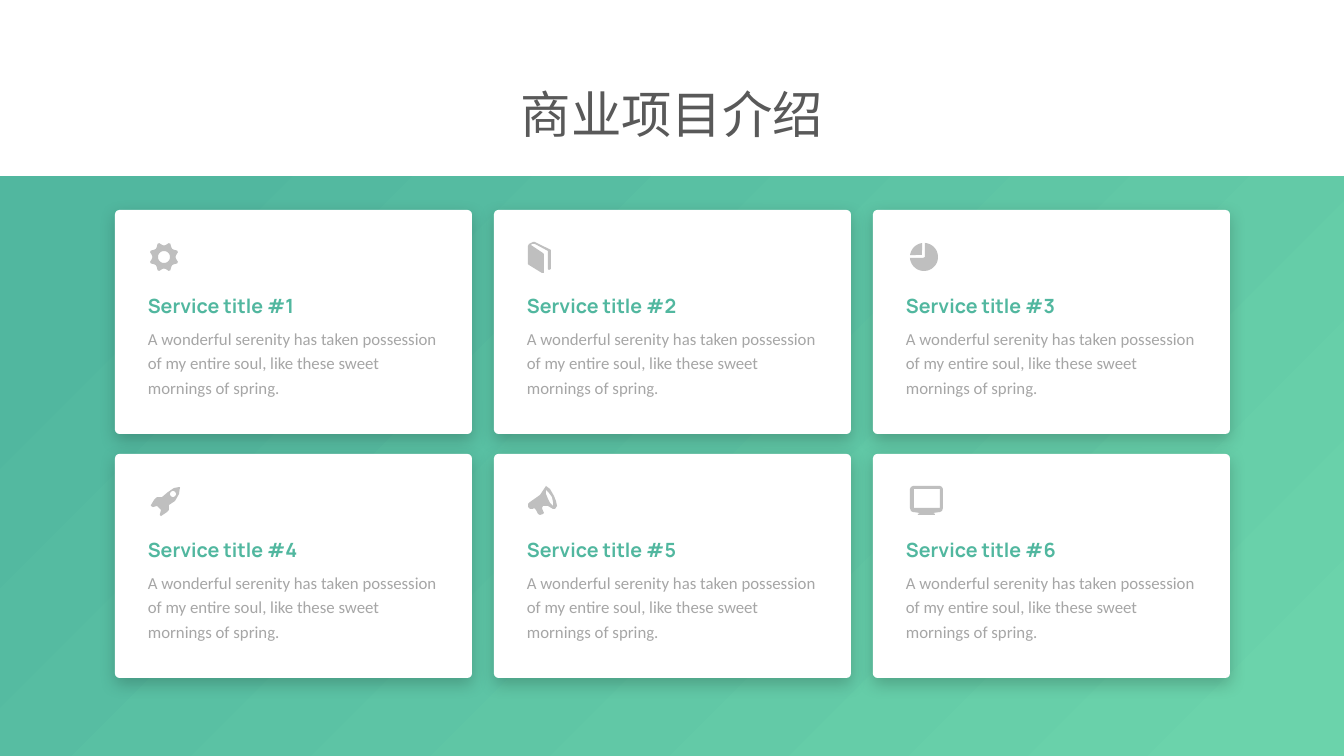
from math import cos, sin, radians

from lxml.etree import SubElement
from pptx import Presentation
from pptx.dml.color import RGBColor
from pptx.enum.shapes import MSO_SHAPE
from pptx.enum.text import PP_ALIGN
from pptx.oxml.ns import qn
from pptx.util import Pt

PX = 914400 / 100.8
WHITE = RGBColor(0xFF, 0xFF, 0xFF)
TEAL = RGBColor(0x51, 0xB7, 0x9F)
MINT = RGBColor(0x6B, 0xD3, 0xAB)
DARK = RGBColor(0x59, 0x59, 0x59)
GREY = RGBColor(0xA6, 0xA6, 0xA6)
SILVER = RGBColor(0xBF, 0xBF, 0xBF)
BODY = ("A wonderful serenity has taken possession of my entire soul, "
        "like these sweet mornings of spring.")


def px(*sizes):
    return [round(size * PX) for size in sizes]


def polar(x, y, radius, angle):
    turn = radians(angle)
    return x + radius * cos(turn), y + radius * sin(turn)


def arc(x, y, radius, start, end):
    return [polar(x, y, radius, start + (end - start) * i / 40)
            for i in range(41)]


NOTCH = [(-19, 14.7), (-9, 12.3), (0, 11.5), (9, 12.3), (19, 14.7)]
GEAR = [[polar(14, 14, radius, 45 * i + angle)
         for i in range(8) for angle, radius in NOTCH],
        arc(14, 14, 6, 0, 360)]
BOOK = [[(23, 9), (7, 1), (5, 1), (1, 3), (0, 5), (0, 23), (1, 24), (14, 32),
         (16, 32), (16, 13), (15, 12), (3, 4), (4, 3), (7, 3), (20, 10),
         (20, 28), (21, 29), (23, 28)]]
PIE = [arc(14, 14, 14, 188, 262) + [(12, 12)],
       arc(14, 14, 14, -86, 176) + [(13, 15), (15, 14)]]
ROCKET = [[(18, 19), (24, 15), (28, 8), (29, 1), (28, 1), (23, 2), (17, 6),
           (11, 11), (6, 11), (3, 14), (0, 19), (0, 20), (2, 21), (6, 20),
           (10, 24), (9, 28), (9, 29), (10, 30), (16, 26), (18, 24)],
          arc(22, 8, 3, 0, 360)]
HORN = [[(26, 10), (22, 3), (18, 0), (16, 3), (12, 9), (2, 16), (0, 18),
         (0, 21), (2, 23), (5, 23), (6, 22), (8, 24), (10, 28), (12, 29),
         (15, 28), (16, 27), (15, 25), (14, 22), (15, 20), (20, 20), (25, 23),
         (27, 23), (29, 20), (28, 15)],
        [(25, 20), (22, 17), (20, 13), (18, 8), (18, 4), (21, 7), (24, 11),
         (25, 16)]]
SCREEN = [[(30, 0), (3, 0), (1, 1), (0, 3), (0, 22), (1, 25), (3, 26),
           (10, 27), (8, 28), (8, 29), (25, 29), (25, 28), (23, 27), (30, 26),
           (32, 25), (33, 22), (33, 3), (32, 1)],
          [(30, 22), (4, 22), (4, 3), (30, 3)]]
CARDS = [(GEAR, 35, 33), (BOOK, 34, 31), (PIE, 37, 33),
         (ROCKET, 36, 32), (HORN, 34, 32), (SCREEN, 37, 32)]


def write(shapes, box, words, face, size, color, bold=False):
    frame = shapes.add_textbox(*px(*box)).text_frame
    frame.word_wrap = True
    frame.text = words
    line = frame.paragraphs[0]
    font = line.runs[0].font
    font.name, font.size, font.bold = face, Pt(size), bold
    font.color.rgb = color
    return line


def shade(shape):
    effects = SubElement(shape.element.spPr, qn("a:effectLst"))
    shadow = SubElement(effects, qn("a:outerShdw"), blurRad=str(Pt(12)),
                        dist=str(Pt(4)), dir="5400000", algn="t",
                        rotWithShape="0")
    black = SubElement(shadow, qn("a:srgbClr"), val="000000")
    SubElement(black, qn("a:alpha"), val="20000")


def icon(shapes, left, top, rings):
    first, *rest = [[(x * 10, y * 10) for x, y in ring] for ring in rings]
    pen = shapes.build_freeform(*first[0], scale=PX / 10)
    pen.add_line_segments(first[1:])
    for ring in rest:
        pen.move_to(*ring[0])
        pen.add_line_segments(ring[1:])
    mark = pen.convert_to_shape(*px(left, top))
    mark.shadow.inherit = False
    mark.fill.solid()
    mark.fill.fore_color.rgb = SILVER
    mark.line.fill.background()


def header(slide, left, top, width, height):
    line = write(slide.shapes, (left, top, width, height),
                 "商业项目介绍", "Noto Sans CJK JP", 36, DARK)
    line.alignment = PP_ALIGN.CENTER
    SubElement(line.runs[0].font._element, qn("a:ea"),
               typeface="Noto Sans CJK JP")


def band(slide, left, top, width, height):
    panel = slide.shapes.add_shape(MSO_SHAPE.RECTANGLE,
                                   *px(left, top, width, height))
    panel.shadow.inherit = False
    panel.line.fill.background()
    panel.fill.gradient()
    panel.fill.gradient_angle = 315
    for stop, spot, color in zip(panel.fill.gradient_stops, (0.09, 0.96),
                                 (TEAL, MINT)):
        stop.position = spot
        stop.color.rgb = color


def card(slide, left, top, width, height, number, rings, right, down):
    shapes = slide.shapes.add_group_shape().shapes
    panel = shapes.add_shape(MSO_SHAPE.ROUNDED_RECTANGLE,
                             *px(left, top, width, height))
    panel.adjustments[0] = 0.02
    panel.fill.solid()
    panel.fill.fore_color.rgb = WHITE
    panel.line.fill.background()
    shade(panel)
    write(shapes, (left + 23, top + 79, width - 48, 34),
          f"Service title #{number}", "Manrope", 14, TEAL, True)
    line = write(shapes, (left + 23, top + 110, width - 48, 84),
                 BODY, "Calibri", 12, GREY)
    line.line_spacing = 1.2
    icon(shapes, left + right, top + down, rings)


def grid(slide, left, top, width, height):
    for i, (rings, right, down) in enumerate(CARDS):
        row, column = divmod(i, 3)
        card(slide, left + column * (width + 22), top + row * (height + 20),
             width, height, i + 1, rings, right, down)


def main():
    deck = Presentation()
    deck.slide_width, deck.slide_height = px(1344, 756)
    slide = deck.slides.add_slide(deck.slide_layouts[6])
    band(slide, 0, 176, 1344, 580)
    header(slide, 194, 78, 956, 72)
    grid(slide, 115, 210, 357, 224)
    deck.save("out.pptx")


if __name__ == "__main__":
    main()
